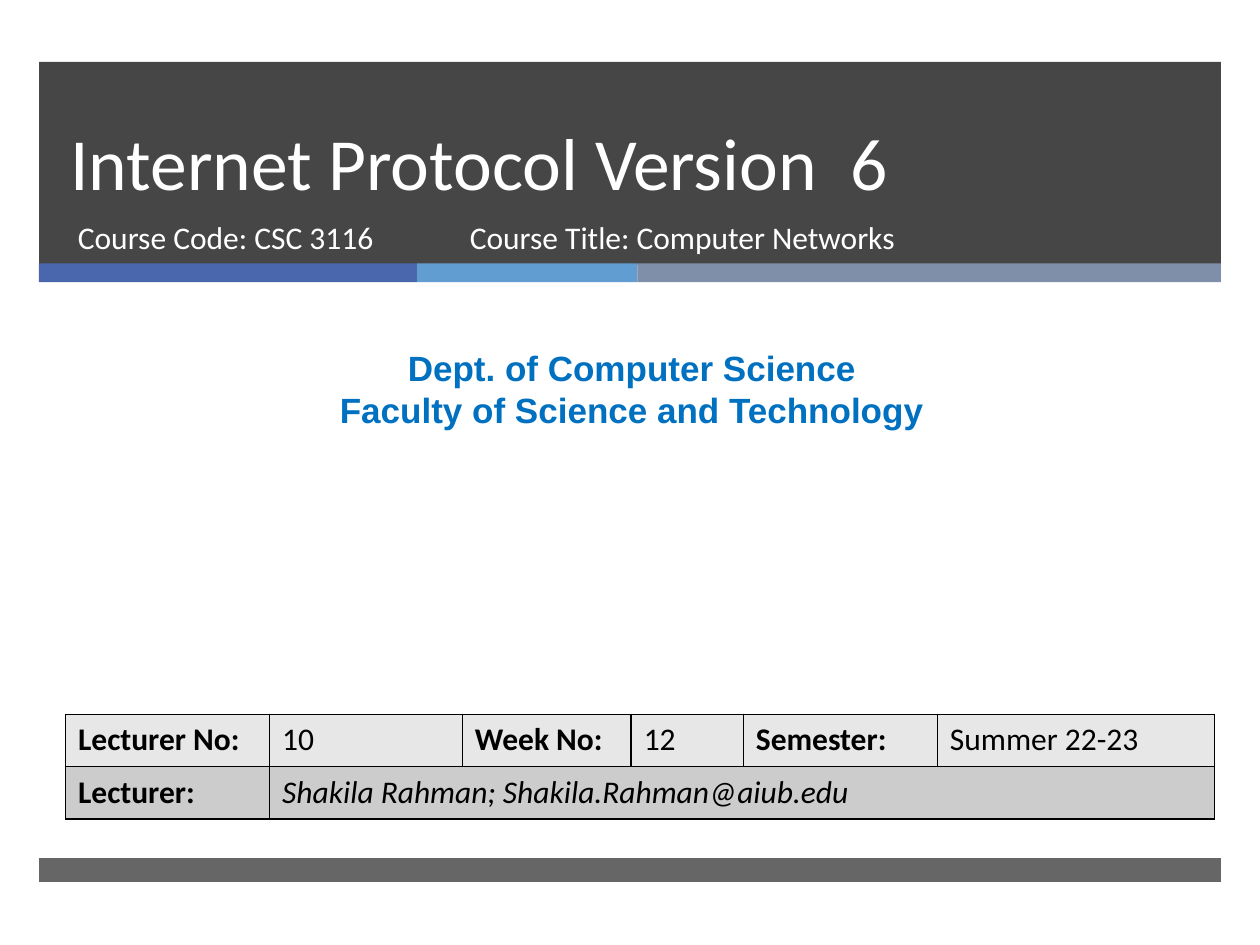
from lxml import etree
from pptx import Presentation
from pptx.dml.color import RGBColor
from pptx.enum.shapes import MSO_SHAPE
from pptx.enum.text import MSO_ANCHOR, PP_ALIGN
from pptx.oxml import parse_xml
from pptx.oxml.ns import nsdecls, qn
from pptx.util import Inches, Pt

DARK, WHITE, BLACK, BLUE = "262626", "FFFFFF", "000000", "0070C0"


def rgb(color):
    return RGBColor.from_string(color)


def add_rect(s, left, top, width, height, color, opacity=100):
    sp = s.shapes.add_shape(MSO_SHAPE.RECTANGLE, Inches(left), Inches(top),
                            Inches(width), Inches(height))
    sp.shadow.inherit = False
    sp.fill.solid()
    sp.fill.fore_color.rgb = rgb(color)
    sp.line.fill.background()
    if opacity < 100:
        clr = sp.fill._xPr.find(".//" + qn("a:srgbClr"))
        etree.SubElement(clr, qn("a:alpha")).set("val", str(opacity * 1000))


def set_font(p, size, color, name="Calibri", bold=False, italic=False):
    p.font.size, p.font.name = Pt(size), name
    p.font.bold, p.font.italic = bold, italic
    p.font.color.rgb = rgb(color)


def add_text(s, left, top, width, height, lines, size, color=WHITE,
             name="Calibri", bold=False, align=PP_ALIGN.LEFT,
             anchor=MSO_ANCHOR.TOP, spacing=None):
    tf = s.shapes.add_textbox(Inches(left), Inches(top),
                              Inches(width), Inches(height)).text_frame
    tf.word_wrap = True
    tf.vertical_anchor = anchor
    for i, line in enumerate(lines):
        p = tf.paragraphs[0] if i == 0 else tf.add_paragraph()
        p.text = line
        p.alignment = align
        if spacing:
            p.line_spacing = Pt(spacing)
        set_font(p, size, color, name, bold)


def add_header(s, left, top, width, height):
    add_rect(s, left, top, width, height, DARK, 85)
    # Accent strip below the banner
    x = left
    for w, color in ((3, "4A66AC"), (1.75, "629DD1"), (width - 4.75, "7F8FA9")):
        add_rect(s, x, top + height - 0.01, w, 0.15, color)
        x += w
    # Title and course details
    add_text(s, left + 0.15, top, 8.54, 1.19, ["Internet Protocol Version  6"],
             42, anchor=MSO_ANCHOR.BOTTOM, spacing=46)
    sub_top = top + 1.19
    add_text(s, left + 0.21, sub_top, 3.1, 0.53, ["Course Code: CSC 3116"], 18)
    add_text(s, left + 3.32, sub_top, 4.55, 0.53,
             ["Course Title: Computer Networks"], 18)


def style_cell(cell, fill):
    cell.fill.solid()
    cell.fill.fore_color.rgb = rgb(fill)
    tcPr = cell._tc.get_or_add_tcPr()
    # Borders come before the fill in the cell properties
    for i, side in enumerate(("lnL", "lnR", "lnT", "lnB")):
        tcPr.insert(i, parse_xml(
            f'<a:{side} {nsdecls("a")} w="12700"><a:solidFill>'
            f'<a:srgbClr val="{BLACK}"/></a:solidFill></a:{side}>'))


def add_lecture_table(s, left, top, width, height):
    rows = (
        ("E7E7E7", ("Lecturer No:", "10", "Week No:", "12",
                    "Semester:", "Summer 22-23")),
        ("CCCCCC", ("Lecturer:", "Shakila Rahman; Shakila.Rahman@aiub.edu")),
    )
    col_widths = (1.62, 1.53, 1.34, 0.89, 1.54, 2.2)
    table = s.shapes.add_table(len(rows), len(col_widths), Inches(left), Inches(top),
                               Inches(width), Inches(height)).table
    for col, w in zip(table.columns, col_widths):
        col.width = Inches(w)
    table.cell(1, 1).merge(table.cell(1, 5))
    for r, (fill, texts) in enumerate(rows):
        for cell in table.rows[r].cells:
            style_cell(cell, fill)
        for c, text in enumerate(texts):
            p = table.cell(r, c).text_frame.paragraphs[0]
            p.text = text
            is_label = c % 2 == 0
            set_font(p, 18, BLACK, bold=is_label, italic=r == 1 and not is_label)


def main():
    prs = Presentation()
    prs.slide_width, prs.slide_height = Inches(10), Inches(7.5)
    s = prs.slides.add_slide(prs.slide_layouts[6])
    add_header(s, 0.31, 0.49, 9.38, 1.61)
    # Department
    add_text(s, 0.08, 2.7, 9.87, 0.77,
             ["Dept. of Computer Science", "Faculty of Science and Technology"],
             20, BLUE, "Arial", True, PP_ALIGN.CENTER)
    add_lecture_table(s, 0.52, 5.67, 9.12, 0.83)
    # Footer bar
    add_rect(s, 0.31, 6.81, 9.38, 0.19, DARK, 70)
    prs.save("out.pptx")


if __name__ == "__main__":
    main()
